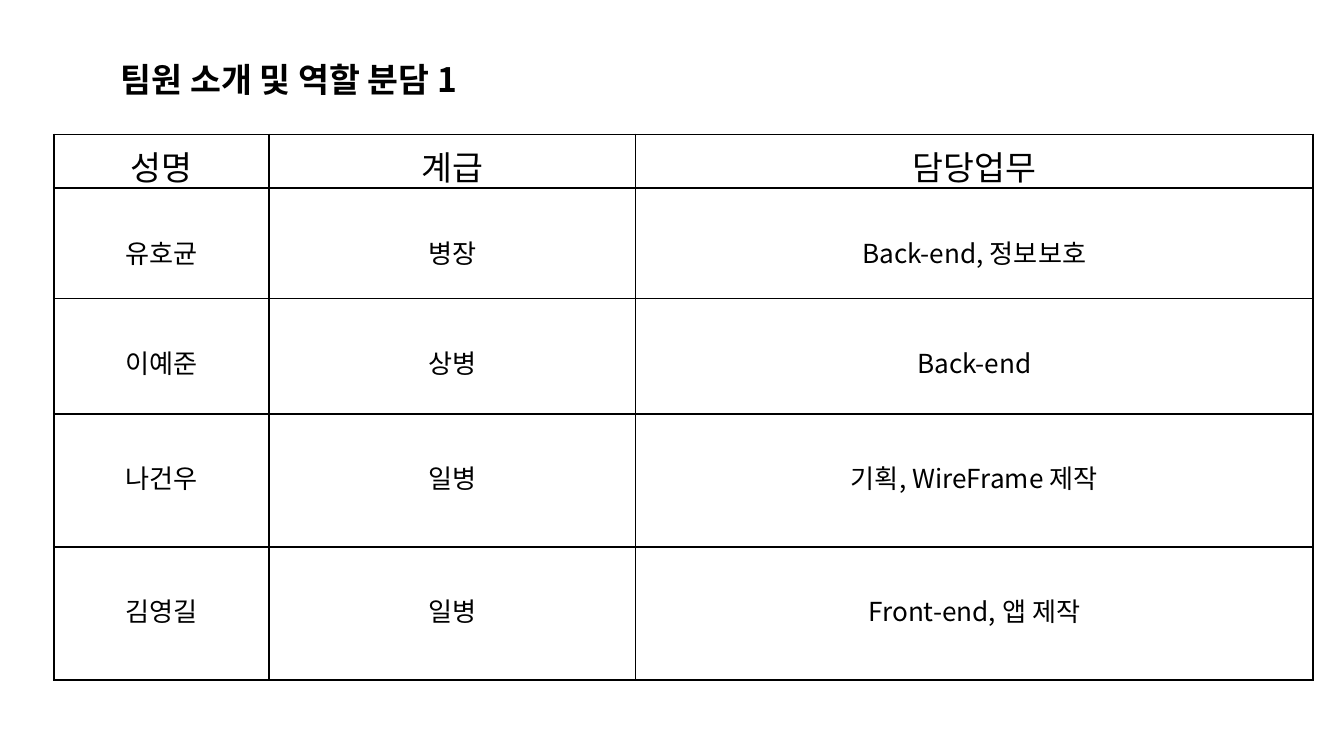
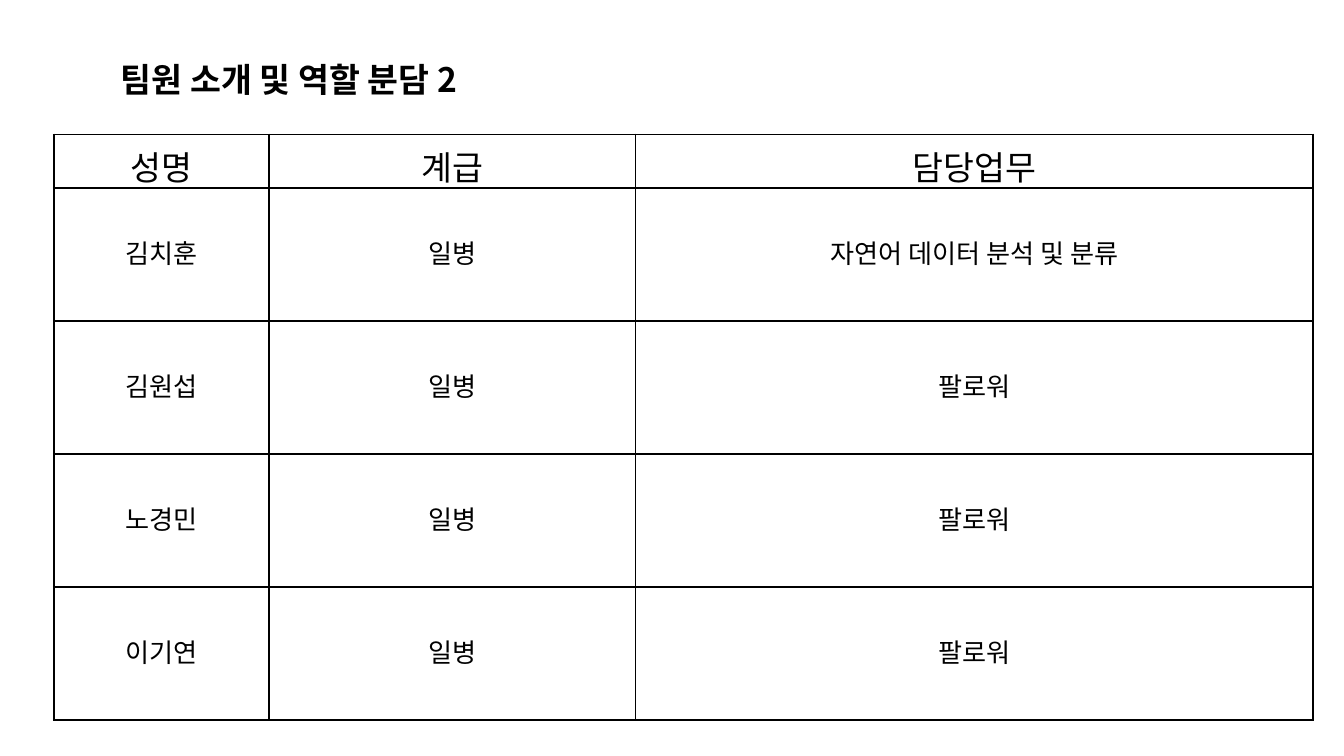
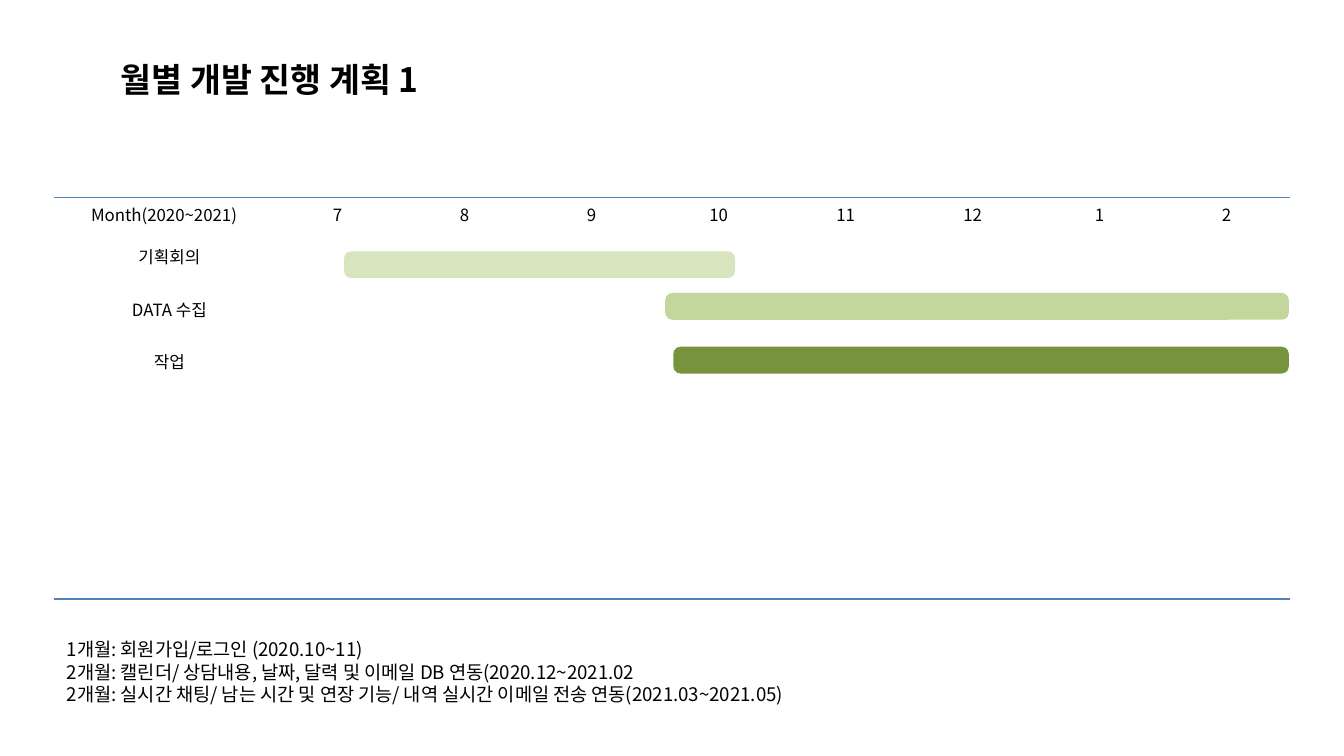
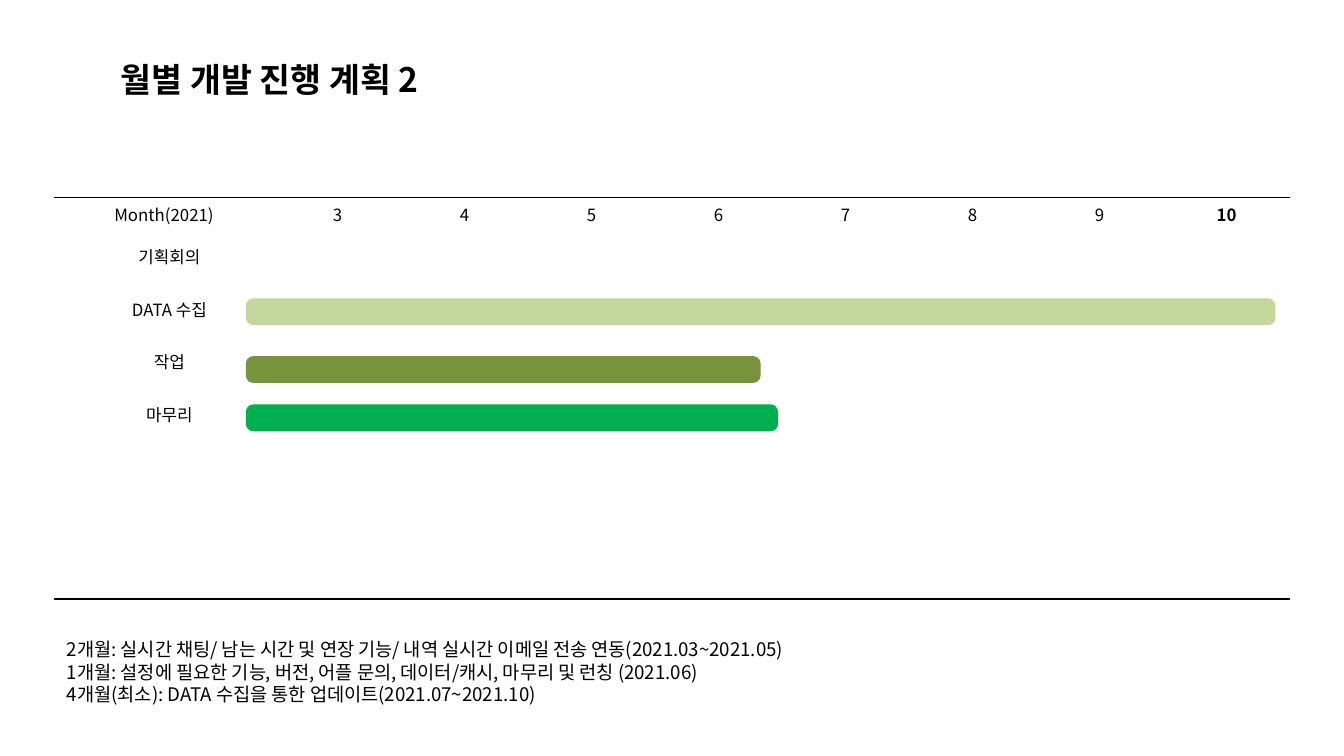
from lxml import etree
from pptx import Presentation
from pptx.dml.color import RGBColor
from pptx.enum.shapes import MSO_SHAPE
from pptx.enum.text import MSO_ANCHOR, MSO_AUTO_SIZE, PP_ALIGN
from pptx.oxml.ns import qn
from pptx.util import Inches, Pt

ROUNDED = MSO_SHAPE.ROUNDED_RECTANGLE
CENTER = PP_ALIGN.CENTER
TOP, MIDDLE, BOTTOM = MSO_ANCHOR.TOP, MSO_ANCHOR.MIDDLE, MSO_ANCHOR.BOTTOM
GROW = MSO_AUTO_SIZE.SHAPE_TO_FIT_TEXT

FONT = "Noto Sans CJK KR"
COLORS = {
    "text": "000000",
    "rule": "000000",
    "blue_rule": "4F81BD",
    "planning": "D7E4BD",
    "data": "C3D69B",
    "work": "77933C",
    "finish": "00B050",
}
NO_STYLE = "{2D5ABB26-0587-4C30-8999-92F81FD0307C}"
LEFT = 0.4

TEAM_HEADER = ("성명", "계급", "담당업무")
TEAM_COLS = (1.6, 2.73, 5.04)
TEAM_HEADER_HEIGHT = 0.4

PLAN_COLS = (1.64,) + (0.945,) * 8
PLAN_TOP, PLAN_HEIGHT, PLAN_HEADER_HEIGHT = 1.47, 2.99, 0.24
PLAN_TASK_ROWS = 7
BAR_HEIGHT = 0.2


def add_run(p, text, size, bold=False):
    r = p.add_run()
    r.text = text
    r.font.size = Pt(size)
    r.font.bold = bold
    r.font.name = FONT
    r.font.color.rgb = RGBColor.from_string(COLORS["text"])
    ea = etree.SubElement(r._r.get_or_add_rPr(), qn("a:ea"))
    ea.set("typeface", FONT)


def add_text(s, left, top, width, height, lines, size, bold=False):
    box = s.shapes.add_textbox(Inches(left), Inches(top), Inches(width), Inches(height))
    tf = box.text_frame
    tf.word_wrap = True
    tf.auto_size = GROW
    for i, line in enumerate(lines):
        p = tf.add_paragraph() if i else tf.paragraphs[0]
        add_run(p, line, size, bold)


def add_titled_slide(prs, title):
    s = prs.slides.add_slide(prs.slide_layouts[6])
    add_text(s, 0.8, 0.39, 3.89, 0.4, [title], 18, bold=True)
    return s


def add_plain_table(s, top, cols, rows):
    """Add a table without style or banding, sized by its columns and rows."""
    frame = s.shapes.add_table(len(rows), len(cols), Inches(LEFT), Inches(top),
                               Inches(sum(cols)), Inches(sum(rows)))
    table = frame.table
    table.first_row = table.horz_banding = False
    table._tbl.tblPr.find(qn("a:tableStyleId")).text = NO_STYLE
    for column, width in zip(table.columns, cols):
        column.width = Inches(width)
    for row, height in zip(table.rows, rows):
        row.height = Inches(height)
    return table


def style_cell(cell, text, size, anchor, margins, sides="", rule="rule", bold=False):
    """Fill a cell; margins are left, top, right, bottom, sides a choice of LRTB."""
    (cell.margin_left, cell.margin_top,
     cell.margin_right, cell.margin_bottom) = map(Inches, margins)
    cell.vertical_anchor = anchor
    p = cell.text_frame.paragraphs[0]
    p.alignment = CENTER
    if text:
        add_run(p, text, size, bold)
    else:
        p._p.get_or_add_endParaRPr().set("sz", str(size * 100))
    tcPr = cell._tc.get_or_add_tcPr()
    for side in sides:
        ln = etree.SubElement(tcPr, qn(f"a:ln{side}"), w=str(Pt(1)))
        fill = etree.SubElement(ln, qn("a:solidFill"))
        etree.SubElement(fill, qn("a:srgbClr"), val=COLORS[rule])
    cell.fill.background()


def add_team_table(s, members, heights):
    table = add_plain_table(s, 1, TEAM_COLS, [TEAM_HEADER_HEIGHT, *heights])
    for i, texts in enumerate([TEAM_HEADER, *members]):
        size, margin_top = (14, 0.33) if i else (18, 0.05)
        for j, text in enumerate(texts):
            style_cell(table.cell(i, j), text, size, TOP,
                       (0.1, margin_top, 0.1, 0.05), "LRTB")


def add_plan_table(s, period, months, tasks, rule, bold_month=None):
    task_height = (PLAN_HEIGHT - PLAN_HEADER_HEIGHT) / PLAN_TASK_ROWS
    table = add_plain_table(s, PLAN_TOP, PLAN_COLS,
                            [PLAN_HEADER_HEIGHT] + [task_height] * PLAN_TASK_ROWS)
    for j, text in enumerate([period, *months]):
        style_cell(table.cell(0, j), text, 9, BOTTOM, (0.1, 0.03, 0.1, 0.03),
                   "T", rule, text == bold_month)
    for i in range(1, PLAN_TASK_ROWS + 1):
        sides = "B" if i == PLAN_TASK_ROWS else ""
        for j in range(len(PLAN_COLS)):
            text = tasks[i - 1] if j == 0 and i <= len(tasks) else ""
            indent = 0.1 if j else 0.18
            style_cell(table.cell(i, j), text, 9, MIDDLE,
                       (indent, 0.03, 0.1, 0.03), sides, rule)


def add_bars(s, bars):
    for left, top, width, color in bars:
        bar = s.shapes.add_shape(ROUNDED, Inches(left), Inches(top),
                                 Inches(width), Inches(BAR_HEIGHT))
        bar.adjustments[0] = 0.27
        bar.shadow.inherit = False
        bar.fill.solid()
        bar.fill.fore_color.rgb = RGBColor.from_string(COLORS[color])
        bar.line.fill.background()


def add_plan_notes(s, height, lines):
    add_text(s, LEFT, 4.7, 6.65, height, lines, 10)


def main():
    prs = Presentation()
    prs.slide_width = Inches(10)
    prs.slide_height = prs.slide_width * 9 // 16

    s = add_titled_slide(prs, "팀원 소개 및 역할 분담 1")
    add_team_table(s, [
        ("유호균", "병장", "Back-end, 정보보호"),
        ("이예준", "상병", "Back-end"),
        ("나건우", "일병", "기획, WireFrame 제작"),
        ("김영길", "일병", "Front-end, 앱 제작"),
    ], (0.82, 0.86, 0.99, 0.99))

    s = add_titled_slide(prs, "팀원 소개 및 역할 분담 2")
    add_team_table(s, [
        ("김치훈", "일병", "자연어 데이터 분석 및 분류"),
        ("김원섭", "일병", "팔로워"),
        ("노경민", "일병", "팔로워"),
        ("이기연", "일병", "팔로워"),
    ], (0.99,) * 4)

    tasks = ["기획회의", "DATA 수집", "작업"]
    chat_note = "2개월: 실시간 채팅/ 남는 시간 및 연장 기능/ 내역 실시간 이메일 전송 연동(2021.03~2021.05)"

    s = add_titled_slide(prs, "월별 개발 진행 계획 1")
    add_plan_table(s, "Month(2020~2021)", ["7", "8", "9", "10", "11", "12", "1", "2"],
                   tasks, "blue_rule")
    add_bars(s, [
        (2.56, 1.87, 2.91, "planning"),
        (4.95, 2.18, 4.64, "data"),
        (5.01, 2.58, 4.58, "work"),
    ])
    add_plan_notes(s, 0.77, [
        "1개월: 회원가입/로그인 (2020.10~11)",
        "2개월: 캘린더/ 상담내용, 날짜, 달력 및 이메일 DB 연동(2020.12~2021.02",
        chat_note,
    ])

    s = add_titled_slide(prs, "월별 개발 진행 계획 2")
    add_plan_table(s, "Month(2021)", [str(month) for month in range(3, 11)],
                   tasks + ["마무리"], "rule", bold_month="10")
    add_bars(s, [
        (1.83, 2.22, 7.66, "data"),
        (1.83, 2.65, 3.83, "work"),
        (1.83, 3.01, 3.96, "finish"),
    ])
    add_plan_notes(s, 0.61, [
        chat_note,
        "1개월: 설정에 필요한 기능, 버전, 어플 문의, 데이터/캐시, 마무리 및 런칭 (2021.06)",
        "4개월(최소): DATA 수집을 통한 업데이트(2021.07~2021.10)",
    ])

    prs.save("out.pptx")


if __name__ == "__main__":
    main()
